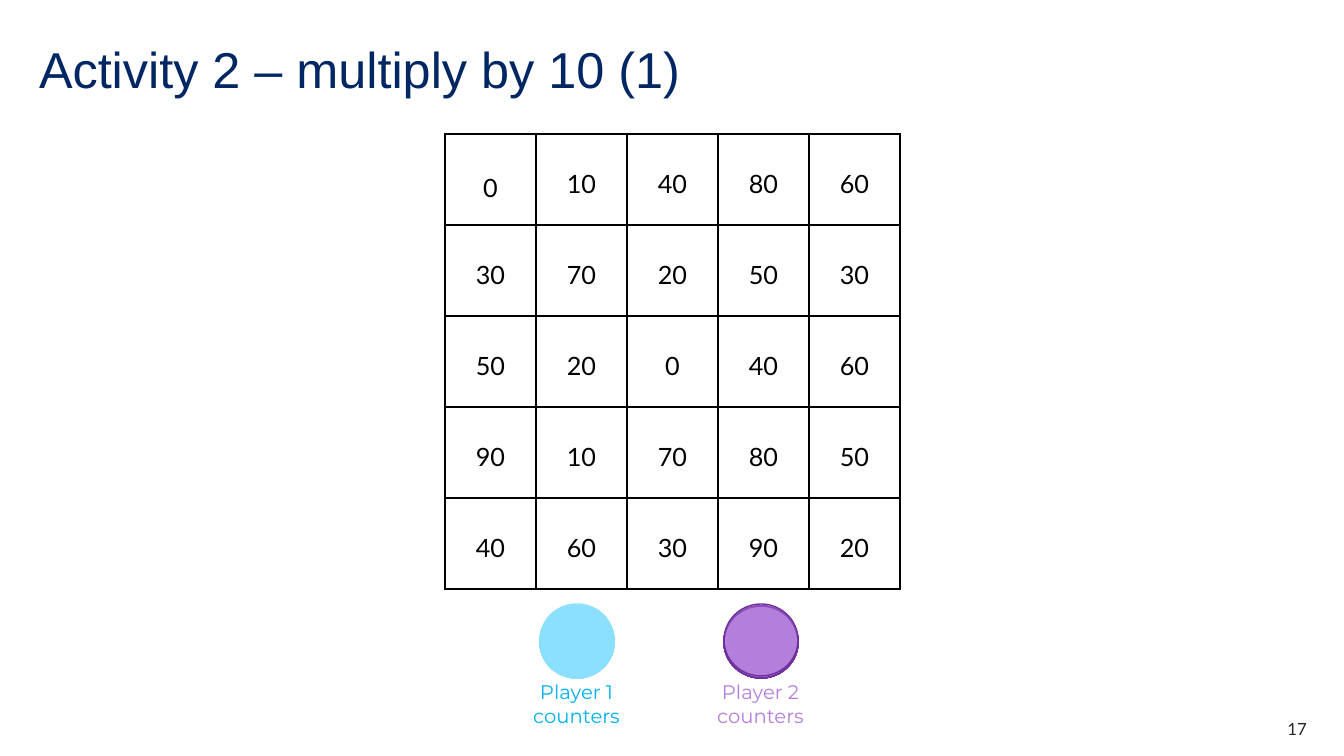
from typing import NamedTuple

from lxml.etree import SubElement
from pptx import Presentation
from pptx.dml.color import RGBColor
from pptx.enum.shapes import MSO_SHAPE
from pptx.enum.text import MSO_ANCHOR, MSO_AUTO_SIZE, PP_ALIGN
from pptx.oxml.ns import qn
from pptx.util import Emu, Pt

WIDE, HIGH = 1344, 756
UNIT = 12192000 / WIDE
INK = {
    "navy": "002664", "dark": "22272B", "black": "000000",
    "sky": "8CE0FF", "blue": "00B0F0", "lilac": "B47FDB", "plum": "7030A0",
}


class Box(NamedTuple):
    left: int
    top: int
    width: int
    height: int


class Player(NamedTuple):
    label: str
    fill: str
    line: str
    text: str


PLAYERS = [
    Player("Player 1 counters", "sky", "sky", "blue"),
    Player("Player 2 counters", "lilac", "plum", "lilac"),
]
GRID = [
    [0, 10, 40, 80, 60],
    [30, 70, 20, 50, 30],
    [50, 20, 0, 40, 60],
    [90, 10, 70, 80, 50],
    [40, 60, 30, 90, 20],
]
CELL = 91
PAD = 7
STACK = 14
STEP = 184


def px(size: int) -> Emu:
    return Emu(round(size * UNIT))


def place(box: Box) -> list[Emu]:
    return [px(size) for size in box]


def color(name: str) -> RGBColor:
    return RGBColor.from_string(INK[name])


def write(frame, text: str, *, size: int, font: str, ink: str,
          align=PP_ALIGN.LEFT, space=None) -> None:
    para = frame.paragraphs[0]
    para.alignment = align
    if space is not None:
        para.line_spacing = space
    run = para.add_run()
    run.text = text
    run.font.size = Pt(size)
    run.font.name = font
    run.font.color.rgb = color(ink)


def clear(frame, anchor=MSO_ANCHOR.TOP) -> None:
    frame.margin_left = frame.margin_right = 0
    frame.margin_top = frame.margin_bottom = 0
    frame.word_wrap = True
    frame.auto_size = MSO_AUTO_SIZE.NONE
    frame.vertical_anchor = anchor


def label(slide, box: Box, text: str, **style) -> None:
    frame = slide.shapes.add_textbox(*place(box)).text_frame
    clear(frame)
    write(frame, text, **style)


def border(cell) -> None:
    props = cell._tc.get_or_add_tcPr()
    for side in ("lnL", "lnR", "lnT", "lnB"):
        line = SubElement(props, qn(f"a:{side}"), w=str(Pt(1.5)))
        fill = SubElement(line, qn("a:solidFill"))
        SubElement(fill, qn("a:srgbClr"), val=INK["black"])


def board(slide, left: int, top: int) -> None:
    rows, cols = len(GRID), len(GRID[0])
    box = Box(left, top, cols * CELL, rows * CELL)
    table = slide.shapes.add_table(rows, cols, *place(box)).table
    table.first_row = table.horz_banding = False
    for track in table.columns:
        track.width = px(CELL)
    for track in table.rows:
        track.height = px(CELL)
    for row, values in enumerate(GRID):
        for col, value in enumerate(values):
            cell = table.cell(row, col)
            border(cell)
            cell.fill.background()
            cell.margin_left = cell.margin_right = px(PAD)
            cell.margin_top = cell.margin_bottom = px(PAD)
            cell.vertical_anchor = MSO_ANCHOR.MIDDLE
            space = Pt(33.6 if row == col == 0 else 28)
            write(cell.text_frame, str(value), size=18, font="Lato",
                  ink="black", align=PP_ALIGN.CENTER, space=space)


def counter(slide, box: Box, player: Player) -> None:
    disc = slide.shapes.add_shape(MSO_SHAPE.OVAL, *place(box))
    disc.shadow.inherit = False
    disc.fill.solid()
    disc.fill.fore_color.rgb = color(player.fill)
    tint = disc._element.spPr.find(f"{qn('a:solidFill')}/{qn('a:srgbClr')}")
    SubElement(tint, qn("a:alpha"), val="40000")
    disc.line.color.rgb = color(player.line)
    disc.line.width = Pt(1)


def main() -> None:
    deck = Presentation()
    deck.slide_width, deck.slide_height = px(WIDE), px(HIGH)
    slide = deck.slides.add_slide(deck.slide_layouts[5])

    # Title and page number
    title = slide.shapes.title
    title.left, title.top, title.width, title.height = place(
        Box(39, 39, 1266, 60))
    clear(title.text_frame, MSO_ANCHOR.BOTTOM)
    write(title.text_frame, "Activity 2 – multiply by 10 (1)", size=36,
          font="Arial", ink="navy", space=0.9)
    label(slide, Box(1227, 719, 80, 20), "17", size=12, font="Lato",
          ink="dark", align=PP_ALIGN.RIGHT)

    # Game board
    board(slide, 445, 134)

    # Stacks of counters, the top one slightly raised
    for index, player in enumerate(PLAYERS):
        shift = index * STEP
        for level in range(STACK):
            top = 604 if level == STACK - 1 else 606
            counter(slide, Box(540 + shift, top, 74, 72), player)
        label(slide, Box(497 + shift, 680, 159, 36), player.label, size=14,
              font="Montserrat", ink=player.text, align=PP_ALIGN.CENTER)

    deck.save("out.pptx")


if __name__ == "__main__":
    main()
